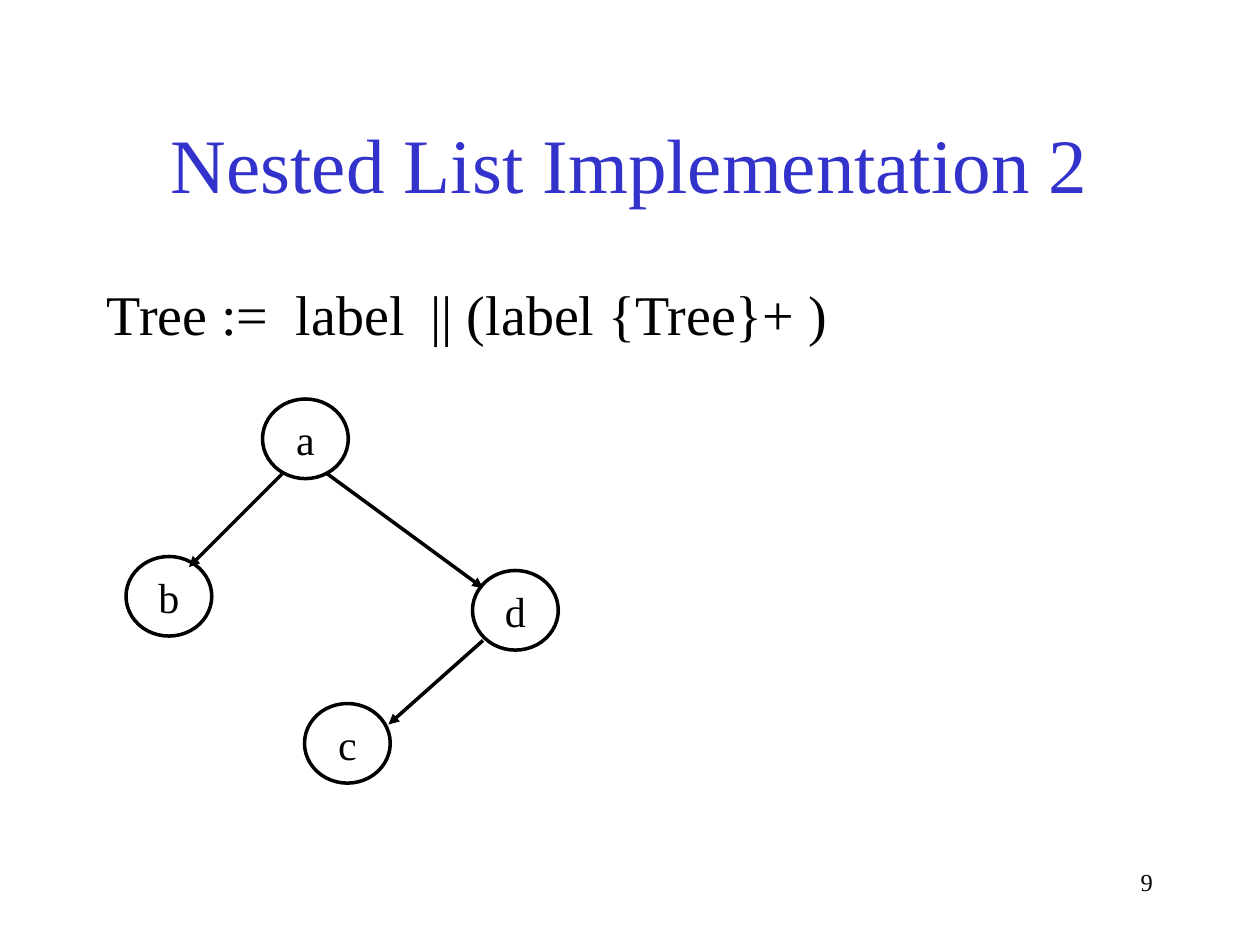
from dataclasses import dataclass

from lxml.etree import SubElement
from pptx import Presentation
from pptx.dml.color import RGBColor
from pptx.enum.shapes import MSO_CONNECTOR as Connector, MSO_SHAPE as Shape
from pptx.enum.text import MSO_ANCHOR as Anchor, MSO_AUTO_SIZE as AutoSize, PP_ALIGN as Align
from pptx.oxml.ns import qn
from pptx.slide import Slide
from pptx.text.text import TextFrame
from pptx.util import Pt


@dataclass(frozen=True)
class Theme:
    font: str = "Times New Roman"
    ink: RGBColor = RGBColor(0x00, 0x00, 0x00)
    title_color: RGBColor = RGBColor(0x33, 0x33, 0xCC)
    title_size: float = 44
    body_size: float = 32
    node_size: float = 24
    number_size: float = 14
    line_width: float = 2


@dataclass(frozen=True)
class Box:
    left: float
    top: float
    width: float
    height: float

    def lengths(self) -> list[Pt]:
        return [Pt(value) for value in (self.left, self.top, self.width, self.height)]


@dataclass(frozen=True)
class Node:
    label: str
    left: float
    top: float


@dataclass(frozen=True)
class Edge:
    start: tuple[float, float]
    end: tuple[float, float]


THEME = Theme()
NODE_WIDTH, NODE_HEIGHT = 49, 45.5
NODES = [Node("a", 150, 228), Node("d", 270, 326), Node("b", 72, 318), Node("c", 174, 402)]
EDGES = [
    Edge((276, 366), (222, 414)),
    Edge((162, 270), (108, 324)),
    Edge((186, 270), (276, 336)),
]
GRAMMAR_TABS = (108, 185)


def write(frame: TextFrame, text: str, size: float, align: Align, color: RGBColor = THEME.ink) -> None:
    frame.auto_size = AutoSize.NONE
    paragraph = frame.paragraphs[0]
    paragraph.text = text
    paragraph.alignment = align
    font = paragraph.font
    font.name, font.size, font.color.rgb = THEME.font, Pt(size), color


def add_title(slide: Slide, text: str, box: Box) -> None:
    title = slide.shapes.title
    title.left, title.top, title.width, title.height = box.lengths()
    title.text_frame.vertical_anchor = Anchor.MIDDLE
    write(title.text_frame, text, THEME.title_size, Align.CENTER, THEME.title_color)


def add_text(slide: Slide, text: str, box: Box, size: float, align: Align,
             tabs: tuple[float, ...] = ()) -> None:
    frame = slide.shapes.add_textbox(*box.lengths()).text_frame
    frame.word_wrap = True
    if tabs:
        properties = frame.paragraphs[0]._p.get_or_add_pPr()
        tab_list = SubElement(properties, qn("a:tabLst"))
        for position in tabs:
            SubElement(tab_list, qn("a:tab"), pos=str(Pt(position)), algn="l")
    write(frame, text, size, align)


def add_node(slide: Slide, node: Node) -> None:
    box = Box(node.left, node.top, NODE_WIDTH, NODE_HEIGHT)
    shape = slide.shapes.add_shape(Shape.OVAL, *box.lengths())
    shape.shadow.inherit = False
    shape.fill.background()
    shape.line.color.rgb = THEME.ink
    shape.line.width = Pt(THEME.line_width)
    shape.text_frame.word_wrap = False
    shape.text_frame.vertical_anchor = Anchor.MIDDLE
    write(shape.text_frame, node.label, THEME.node_size, Align.CENTER)


def add_edge(slide: Slide, edge: Edge) -> None:
    ends = [Pt(value) for value in edge.start + edge.end]
    connector = slide.shapes.add_connector(Connector.STRAIGHT, *ends)
    connector.line.color.rgb = THEME.ink
    connector.line.width = Pt(THEME.line_width)
    SubElement(connector.line._get_or_add_ln(), qn("a:tailEnd"), type="triangle")
    SubElement(connector._element.spPr, qn("a:effectLst"))


def main() -> None:
    presentation = Presentation()
    presentation.slide_width, presentation.slide_height = Pt(720), Pt(540)
    slide = presentation.slides.add_slide(presentation.slide_layouts[5])

    add_title(slide, "Nested List Implementation 2", Box(54, 48, 612, 90))
    add_text(slide, "Tree :=\tlabel\t|| (label {Tree}+ )", Box(54, 156, 612, 324),
             THEME.body_size, Align.LEFT, GRAMMAR_TABS)
    for node in NODES:
        add_node(slide, node)
    for edge in EDGES:
        add_edge(slide, edge)
    add_text(slide, "9", Box(516, 492, 150, 36), THEME.number_size, Align.RIGHT)

    presentation.save("out.pptx")


if __name__ == "__main__":
    main()
